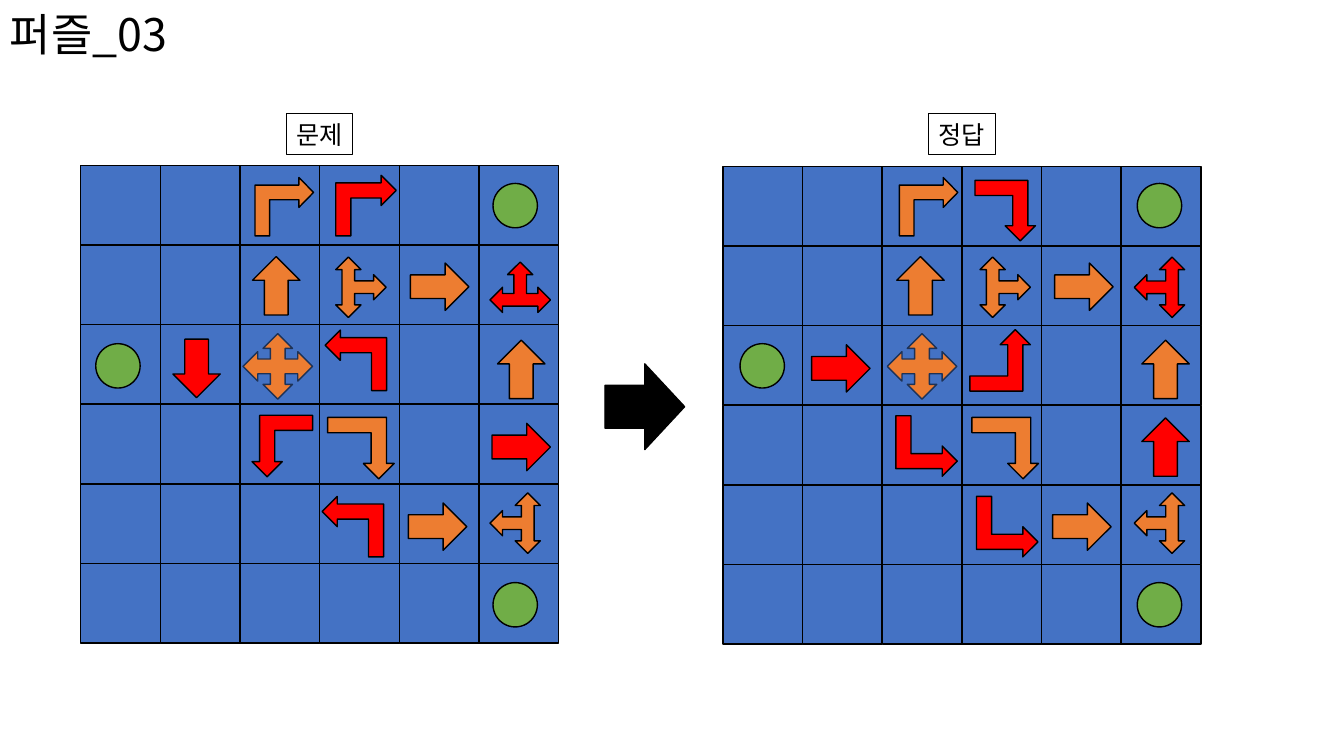
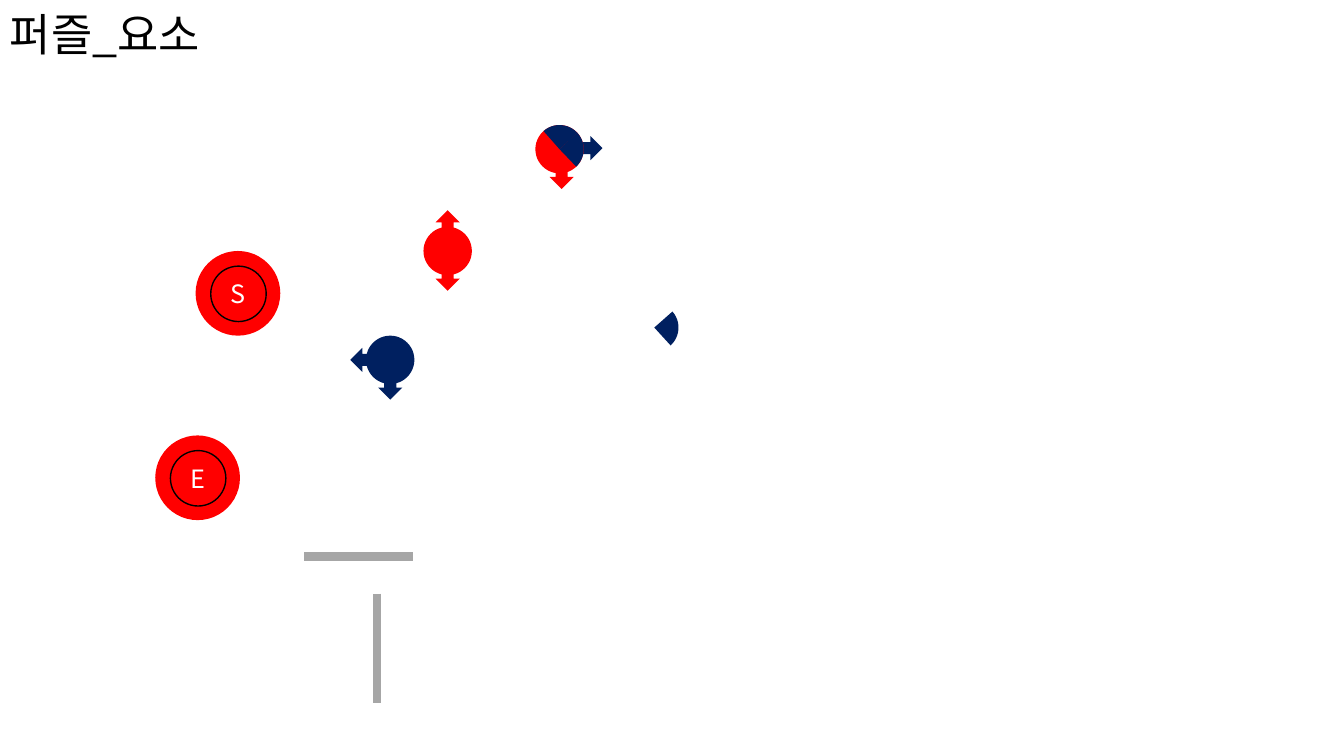
from lxml import etree
from pptx import Presentation
from pptx.dml.color import RGBColor
from pptx.enum.shapes import MSO_CONNECTOR, MSO_SHAPE
from pptx.enum.text import MSO_ANCHOR, MSO_AUTO_SIZE, PP_ALIGN
from pptx.oxml.ns import qn
from pptx.util import Inches, Pt

FONT = "Noto Sans CJK KR"
BLACK, WHITE, RED = "000000", "FFFFFF", "FF0000"
BLUE, ORANGE, GREEN = "4472C4", "ED7D31", "70AD47"
NAVY, GREY, DARK_BLUE = "002060", "A6A6A6", "1E3256"

RECT, OVAL, PIE = MSO_SHAPE.RECTANGLE, MSO_SHAPE.OVAL, MSO_SHAPE.PIE
ARROW, BENT = MSO_SHAPE.RIGHT_ARROW, MSO_SHAPE.BENT_UP_ARROW
TEE, CROSS = MSO_SHAPE.LEFT_RIGHT_UP_ARROW, MSO_SHAPE.QUAD_ARROW
STRAIGHT = MSO_CONNECTOR.STRAIGHT
MIDDLE, CENTER = MSO_ANCHOR.MIDDLE, PP_ALIGN.CENTER
FIT_TEXT = MSO_AUTO_SIZE.SHAPE_TO_FIT_TEXT

GRID_COUNT, CELL = 6, 0.79
GOAL_SIZE = 0.44
ARROW_SIZE, TEE_SIZE, BENT_SIZE = (0.58, 0.47), (0.6, 0.5), (0.6, 0.61)
BEND_ADJUST = (0.25, 0.256, 0.25)
PIE_ADJUST = (0, 53.521)
NODE, RING, RING_INNER, RING_GAP = 0.48, 0.84, 0.55, 0.15
POINTER_W, POINTER_H = 0.35, 0.24

# Pieces: shape, left, top, (width, height), rotation, flip
GOALS = [(0.15, 1.77), (4.09, 0.18), (4.09, 4.14)]
FIXED_PIECES = [
    (BENT, 2.45, 2.5, (0.66, 0.61), 180, "flipH"),
    (ARROW, 1.65, 0.96, ARROW_SIZE, 270, None),
    (TEE, 4.01, 3.3, TEE_SIZE, 270, None),
    (ARROW, 3.25, 3.35, ARROW_SIZE, 0, None),
    (ARROW, 4.08, 1.79, ARROW_SIZE, 270, None),
    (ARROW, 3.27, 0.97, ARROW_SIZE, 0, None),
    (TEE, 2.48, 0.96, TEE_SIZE, 90, None),
]
QUESTION_PIECES = [
    (ARROW, 0.86, 1.78, ARROW_SIZE, 90, None),
    (ARROW, 4.08, 2.56, ARROW_SIZE, 0, None),
    (TEE, 4.06, 0.96, TEE_SIZE, 0, None),
    (BENT, 2.53, 0.1, (0.6, 0.6), 270, "flipV"),
    (BENT, 1.7, 2.48, BENT_SIZE, 180, None),
    (BENT, 2.43, 1.63, BENT_SIZE, 270, None),
    (BENT, 2.4, 3.28, BENT_SIZE, 270, None),
]
ANSWER_PIECES = [
    (ARROW, 0.86, 1.78, ARROW_SIZE, 0, None),
    (ARROW, 4.08, 2.56, ARROW_SIZE, 270, None),
    (TEE, 4.01, 0.96, TEE_SIZE, 270, None),
    (BENT, 2.48, 0.15, (0.6, 0.6), 0, "flipV"),
    (BENT, 1.7, 2.48, BENT_SIZE, 90, None),
    (BENT, 2.43, 1.63, BENT_SIZE, 0, None),
    (BENT, 2.5, 3.28, BENT_SIZE, 90, None),
]


def rgb(value):
    return RGBColor.from_string(value)


def add_shape(shapes, kind, x, y, w, h, fill, line=BLACK, rotation=0,
              flip=None, adjust=()):
    sp = shapes.add_shape(kind, Inches(x), Inches(y), Inches(w), Inches(h))
    sp.shadow.inherit = False
    sp.fill.solid()
    sp.fill.fore_color.rgb = rgb(fill)
    if line:
        sp.line.color.rgb = rgb(line)
        sp.line.width = Pt(1)
    else:
        sp.line.fill.background()
    sp.rotation = rotation
    if flip:
        sp._element.spPr.find(qn("a:xfrm")).set(flip, "1")
    for i, value in enumerate(adjust):
        sp.adjustments[i] = value
    return sp


def write(sp, text, size, color):
    """Set one line of text, with the font for Latin and Korean letters."""
    tf = sp.text_frame
    tf.text = text
    r = tf.paragraphs[0].runs[0]
    r.font.size = Pt(size)
    r.font.color.rgb = rgb(color)
    r.font.name = FONT
    etree.SubElement(r.font._element, qn("a:ea")).set("typeface", FONT)
    return tf


def add_text_box(slide, x, y, w, h, text, size):
    sp = slide.shapes.add_textbox(Inches(x), Inches(y), Inches(w), Inches(h))
    return sp, write(sp, text, size, BLACK)


def add_slide(prs, title):
    slide = prs.slides.add_slide(prs.slide_layouts[6])
    _, tf = add_text_box(slide, 0, 0, 11.5, 0.74, title, 32)
    tf.word_wrap = True
    tf.vertical_anchor = MIDDLE
    tf.paragraphs[0].line_spacing = 0.9
    return slide


def add_label(slide, x, y, text):
    sp, tf = add_text_box(slide, x, y, 0.66, 0.4, text, 18)
    tf.word_wrap = False
    tf.auto_size = FIT_TEXT
    sp.line.color.rgb = rgb(BLACK)
    sp.line.width = Pt(0.75)


def add_grid(slide, x, y):
    cells = slide.shapes.add_group_shape().shapes
    for row in range(GRID_COUNT):
        for col in range(GRID_COUNT):
            add_shape(cells, RECT, x + col * CELL, y + row * CELL,
                      CELL, CELL, BLUE)


def add_pieces(slide, x, y, turned_pieces):
    """Place the goals, the fixed orange pieces and the red turned ones."""
    shapes = slide.shapes
    for dx, dy in GOALS:
        add_shape(shapes, OVAL, x + dx, y + dy, GOAL_SIZE, GOAL_SIZE, GREEN)
    add_shape(shapes, BENT, x + 1.73, y + 0.12, 0.58, 0.58, ORANGE,
              rotation=90, flip="flipH", adjust=BEND_ADJUST)
    add_shape(shapes, CROSS, x + 1.61, y + 1.67, 0.69, 0.65, ORANGE, DARK_BLUE)
    for pieces, color in ((FIXED_PIECES, ORANGE), (turned_pieces, RED)):
        for kind, dx, dy, (w, h), rotation, flip in pieces:
            add_shape(shapes, kind, x + dx, y + dy, w, h, color,
                      rotation=rotation, flip=flip)


def add_ring(slide, x, y, letter):
    shapes = slide.shapes.add_group_shape().shapes
    add_shape(shapes, OVAL, x, y, RING, RING, RED, None)
    inner = add_shape(shapes, OVAL, x + RING_GAP, y + RING_GAP,
                      RING_INNER, RING_INNER, RED)
    tf = write(inner, letter, 18, WHITE)
    tf.vertical_anchor = MIDDLE
    tf.paragraphs[0].alignment = CENTER


def add_pie(shapes, x, y, rotation):
    add_shape(shapes, PIE, x, y, NODE, NODE, NAVY, None, rotation,
              adjust=PIE_ADJUST)


def add_node(slide, x, y, color, pointers, pies=()):
    """Draw a disc; pointers are (dx, dy, rotation, colour) from its centre."""
    shapes = slide.shapes.add_group_shape().shapes
    for dx, dy, rotation, pointer_color in pointers:
        add_shape(shapes, ARROW, x + (NODE - POINTER_W) / 2 + dx,
                  y + (NODE - POINTER_H) / 2 + dy, POINTER_W, POINTER_H,
                  pointer_color, None, rotation)
    add_shape(shapes, OVAL, x, y, NODE, NODE, color, None)
    for rotation in pies:
        add_pie(shapes, x, y, rotation)


def add_bar(slide, x1, y1, x2, y2):
    bar = slide.shapes.add_connector(STRAIGHT, Inches(x1), Inches(y1),
                                     Inches(x2), Inches(y2))
    bar.line.color.rgb = rgb(GREY)
    bar.line.width = Pt(6)
    etree.SubElement(bar._element.spPr, qn("a:effectLst"))


def build_puzzle(prs):
    slide = add_slide(prs, "퍼즐_03")
    add_grid(slide, 7.17, 1.65)
    add_pieces(slide, 7.19, 1.64, ANSWER_PIECES)
    add_grid(slide, 0.8, 1.64)
    add_pieces(slide, 0.8, 1.64, QUESTION_PIECES)
    add_label(slide, 2.84, 1.13, "문제")
    add_label(slide, 9.21, 1.13, "정답")
    add_shape(slide.shapes, ARROW, 6, 3.61, 0.79, 0.85, BLACK)


def build_elements(prs):
    slide = add_slide(prs, "퍼즐_요소")
    add_node(slide, 4.2, 2.25, RED,
             [(0, -0.23, 270, RED), (0, 0.22, 90, RED)])
    add_ring(slide, 1.94, 2.49, "S")
    add_node(slide, 3.63, 3.33, NAVY,
             [(0, 0.22, 90, NAVY), (-0.22, 0, 180, NAVY)])
    add_bar(slide, 3.02, 5.52, 4.1, 5.52)
    add_bar(slide, 3.74, 5.89, 3.74, 6.97)
    add_ring(slide, 1.54, 4.32, "E")
    add_node(slide, 5.31, 1.24, RED,
             [(0.02, 0.22, 90, RED), (0.25, -0.01, 0, NAVY)],
             pies=(317.1, 228.5))
    add_pie(slide.shapes, 6.25, 3.01, 318.5)


def main():
    prs = Presentation()
    prs.slide_width, prs.slide_height = Inches(13.33), Inches(7.5)
    build_puzzle(prs)
    build_elements(prs)
    prs.save("out.pptx")


if __name__ == "__main__":
    main()
